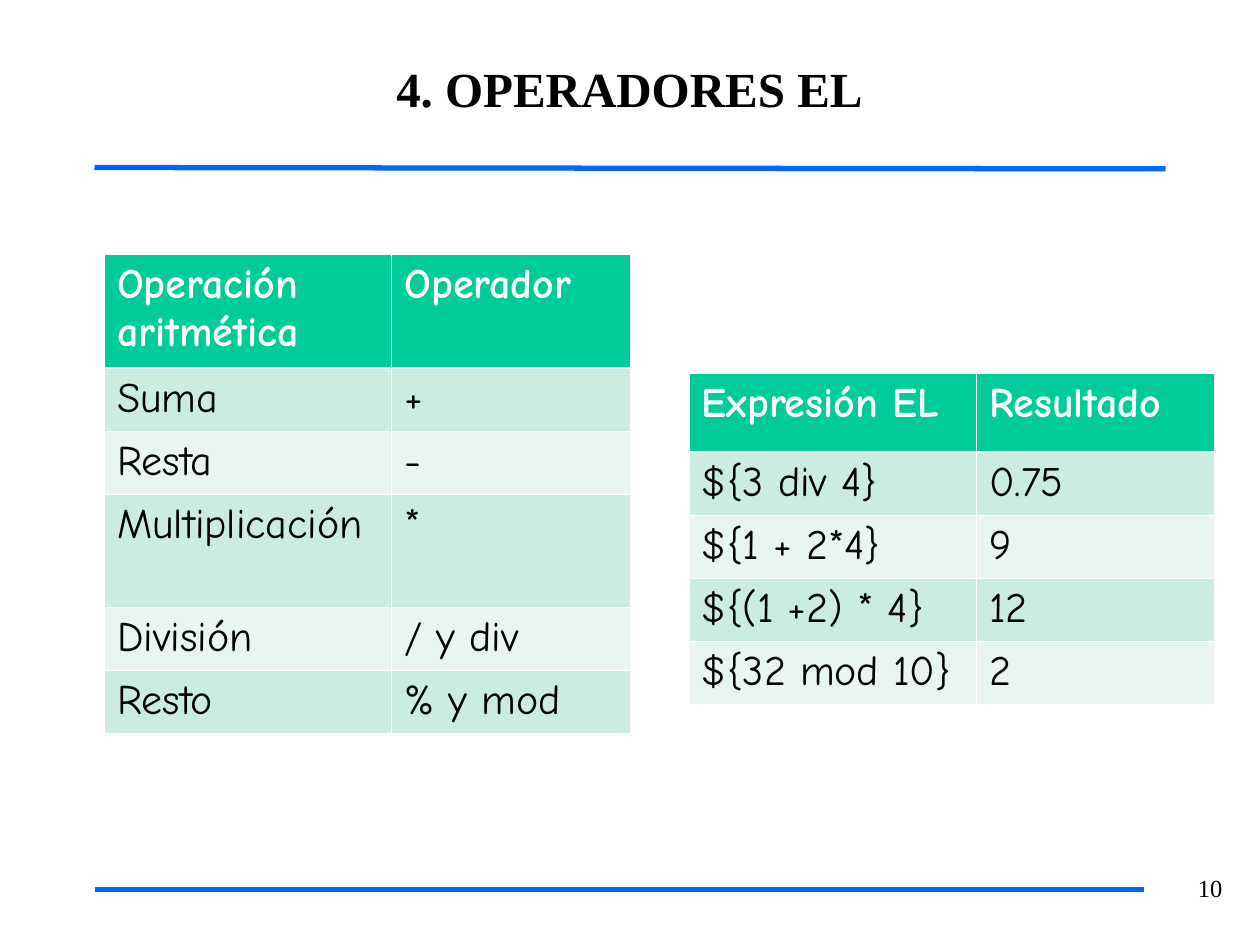
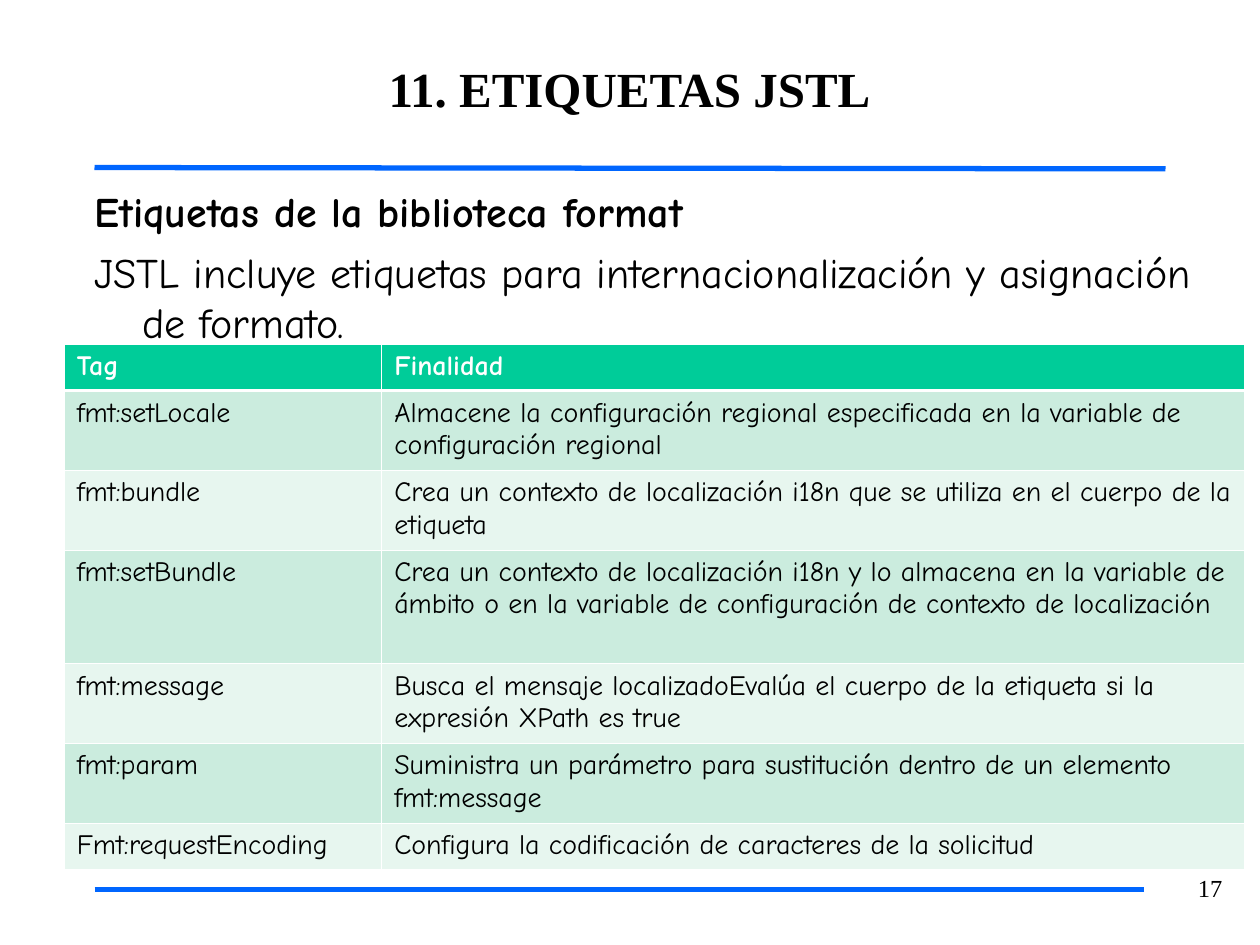
from lxml.etree import SubElement
from pptx import Presentation
from pptx.dml.color import RGBColor
from pptx.enum.shapes import MSO_CONNECTOR
from pptx.enum.text import MSO_ANCHOR, PP_ALIGN
from pptx.oxml import parse_xml
from pptx.oxml.ns import nsdecls, qn
from pptx.util import Inches, Pt

WIDTH, HEIGHT = Inches(10), Inches(7.5)

BLACK, WHITE, RULE_BLUE = "000000", "FFFFFF", "0066FF"
HEADER_GREEN, BAND_GREENS = "00CC99", ("CBECDE", "E7F6EF")
SERIF, HAND = "Times New Roman", "Comic Neue"

# Row heights in percent of the slide height, by how many lines a row holds
ROW_24, HEADER_24, TALL_ROW = 6.67, 8.4, 12
ROW_16, TWO_LINES_16 = 4.93, 8.4
OPERATOR_COLUMNS = (22.8, 18.9)
TAG_COLUMNS = (25.2, 68.5)

ARITHMETIC = [
    ("Operación aritmética", "Operador"),
    ("Suma", "+"),
    ("Resta", "-"),
    ("Multiplicación", "*"),
    ("División", "/ y div"),
    ("Resto", "% y mod"),
]
EXPRESSIONS = [
    ("Expresión EL", "Resultado"),
    ("${3 div 4}", "0.75"),
    ("${1 + 2*4}", "9"),
    ("${(1 +2) * 4}", "12"),
    ("${32 mod 10}", "2"),
]
FORMAT_TAGS = [
    ("Tag", "Finalidad"),
    ("fmt:setLocale", "Almacene la configuración regional especificada "
     "en la variable de configuración regional"),
    ("fmt:bundle", "Crea un contexto de localización i18n que se utiliza "
     "en el cuerpo de la etiqueta"),
    ("fmt:setBundle", "Crea un contexto de localización i18n y lo almacena "
     "en la variable de ámbito o en la variable de configuración "
     "de contexto de localización"),
    ("fmt:message", "Busca el mensaje localizadoEvalúa el cuerpo de la "
     "etiqueta si la expresión XPath es true"),
    ("fmt:param", "Suministra un parámetro para sustitución dentro de un "
     "elemento fmt:message"),
    ("Fmt:requestEncoding",
     "Configura la codificación de caracteres de la solicitud"),
]


def across(percent):
    return round(WIDTH * percent / 100)


def down(percent):
    return round(HEIGHT * percent / 100)


def color(hex_code):
    return RGBColor.from_string(hex_code)


def write(paragraph, text, font=HAND, size=24, ink=BLACK, bold=False,
          align=PP_ALIGN.LEFT, before=0, spacing=1.0, hanging=0):
    """Fill one paragraph with formatted text."""
    run = paragraph.add_run()
    run.text = text
    run.font.name, run.font.size, run.font.bold = font, Pt(size), bold
    run.font.color.rgb = color(ink)
    paragraph.alignment = align
    paragraph.space_before = Pt(before)
    paragraph.line_spacing = spacing
    if hanging:
        properties = paragraph._p.get_or_add_pPr()
        properties.set("marL", str(across(hanging)))
        properties.set("indent", str(-across(hanging)))


def text_area(slide, left, top, width, height, anchor=MSO_ANCHOR.TOP,
              side=0, edge=0):
    frame = slide.shapes.add_textbox(
        across(left), down(top), across(width), down(height)).text_frame
    frame.word_wrap = True
    frame.vertical_anchor = anchor
    frame.margin_left = frame.margin_right = across(side)
    frame.margin_top = frame.margin_bottom = down(edge)
    return frame


def rule(slide, left, right, start, end):
    line = slide.shapes.add_connector(
        MSO_CONNECTOR.STRAIGHT,
        across(left), down(start), across(right), down(end))
    line.line.color.rgb = color(RULE_BLUE)
    line.line.width = Pt(3)
    SubElement(line._element.spPr, qn("a:effectLst"))


def cell_borders(cell, top, bottom):
    """White borders, with the given top and bottom widths in points."""
    properties = cell._tc.get_or_add_tcPr()
    widths = {"lnL": 0.45, "lnR": 0.45, "lnT": top, "lnB": bottom}
    for position, (side, width) in enumerate(widths.items()):
        properties.insert(position, parse_xml(
            f'<a:{side} {nsdecls("a")} w="{Pt(width)}"><a:solidFill>'
            f'<a:srgbClr val="{WHITE}"/></a:solidFill></a:{side}>'))


def banded_table(slide, left, top, columns, heights, entries, size):
    table = slide.shapes.add_table(
        len(entries), len(columns), across(left), down(top),
        across(sum(columns)), down(sum(heights))).table
    for column, width in zip(table.columns, columns):
        column.width = across(width)
    for index, (height, entry) in enumerate(zip(heights, entries)):
        table.rows[index].height = down(height)
        header = index == 0
        for cell, text in zip(table.rows[index].cells, entry):
            cell.fill.solid()
            cell.fill.fore_color.rgb = color(
                HEADER_GREEN if header else BAND_GREENS[(index - 1) % 2])
            cell_borders(cell, top=1.47 if index == 1 else 0.45,
                         bottom=1.47 if header else 0.45)
            write(cell.text_frame.paragraphs[0], text, size=size,
                  ink=WHITE if header else BLACK, bold=header)


def add_page(deck, title, number):
    """Start a slide with its title, the two blue rules and its number."""
    slide = deck.slides.add_slide(deck.slide_layouts[6])
    rule(slide, 7.5, 92.5, 17.73, 17.87)
    rule(slide, 7.5, 90.8, 94.13, 94.13)
    corner = text_area(slide, 93.6, 92, 4.4, 4.27, side=1, edge=0.67)
    write(corner.paragraphs[0], str(number), font=SERIF, size=14,
          align=PP_ALIGN.RIGHT, spacing=0.93)
    heading = text_area(slide, 7.5, 1.2, 84.9, 16.27, MSO_ANCHOR.MIDDLE)
    write(heading.paragraphs[0], title, font=SERIF, size=28, bold=True,
          align=PP_ALIGN.CENTER)
    return slide


def operators_slide(deck):
    slide = add_page(deck, "4. OPERADORES EL", 10)
    banded_table(slide, 8.3, 26.93, OPERATOR_COLUMNS,
                 [TALL_ROW, ROW_24, ROW_24, TALL_ROW, ROW_24, ROW_24],
                 ARITHMETIC, size=24)
    banded_table(slide, 54.7, 39.47, OPERATOR_COLUMNS,
                 [HEADER_24] + [ROW_24] * 4, EXPRESSIONS, size=24)


def format_tags_slide(deck):
    slide = add_page(deck, "11. ETIQUETAS JSTL", 17)
    intro = text_area(slide, 7.5, 19.6, 89, 74.53)
    write(intro.paragraphs[0], "Etiquetas de la biblioteca format",
          bold=True, before=6, hanging=3.8)
    write(intro.add_paragraph(),
          "JSTL incluye etiquetas para internacionalización y asignación "
          "de formato.", before=6, hanging=3.8)
    banded_table(slide, 5.1, 36.4, TAG_COLUMNS,
                 [ROW_16, TWO_LINES_16, TWO_LINES_16, TALL_ROW,
                  TWO_LINES_16, TWO_LINES_16, ROW_16],
                 FORMAT_TAGS, size=16)


def main():
    deck = Presentation()
    deck.slide_width, deck.slide_height = WIDTH, HEIGHT
    operators_slide(deck)
    format_tags_slide(deck)
    deck.save("out.pptx")


if __name__ == "__main__":
    main()
